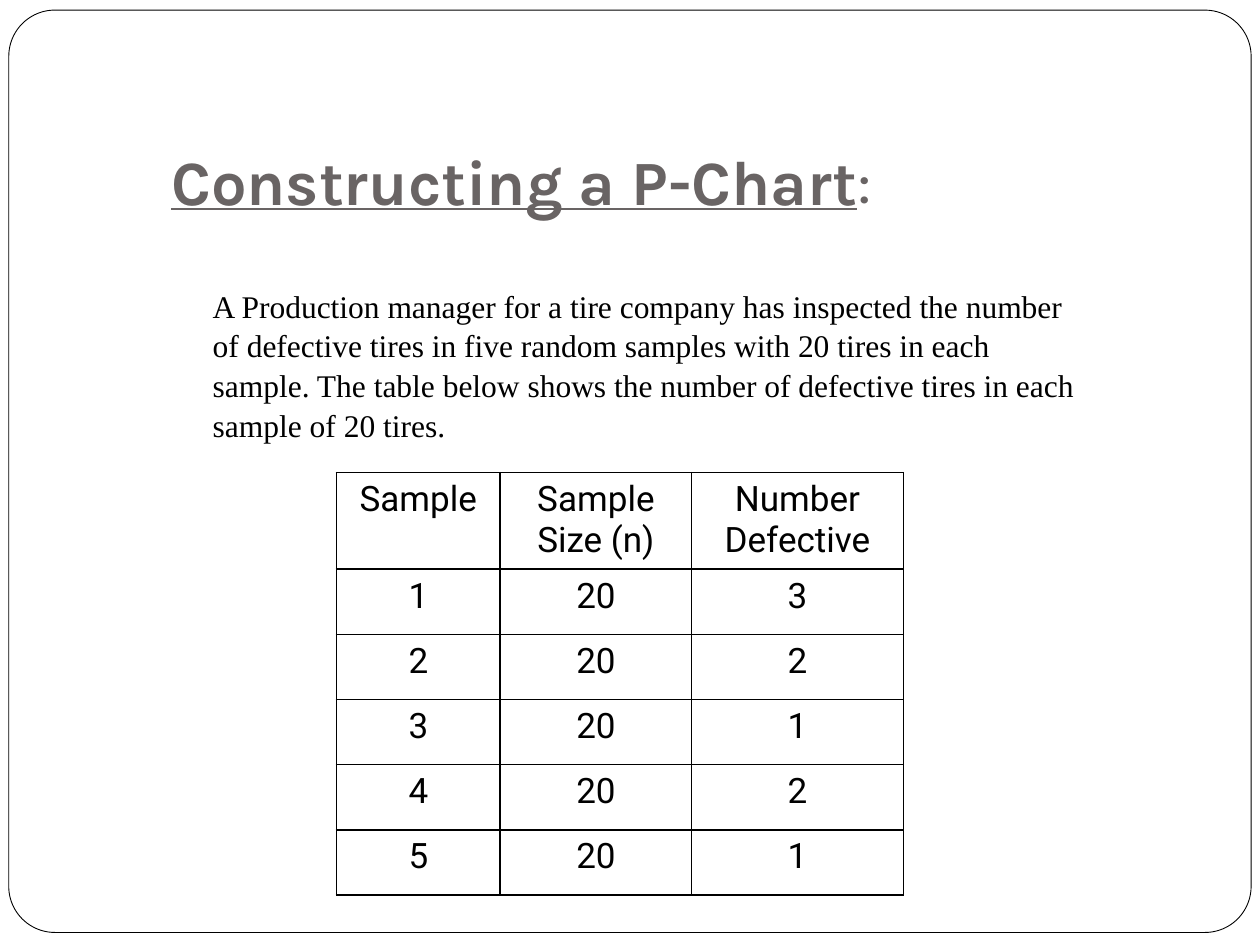
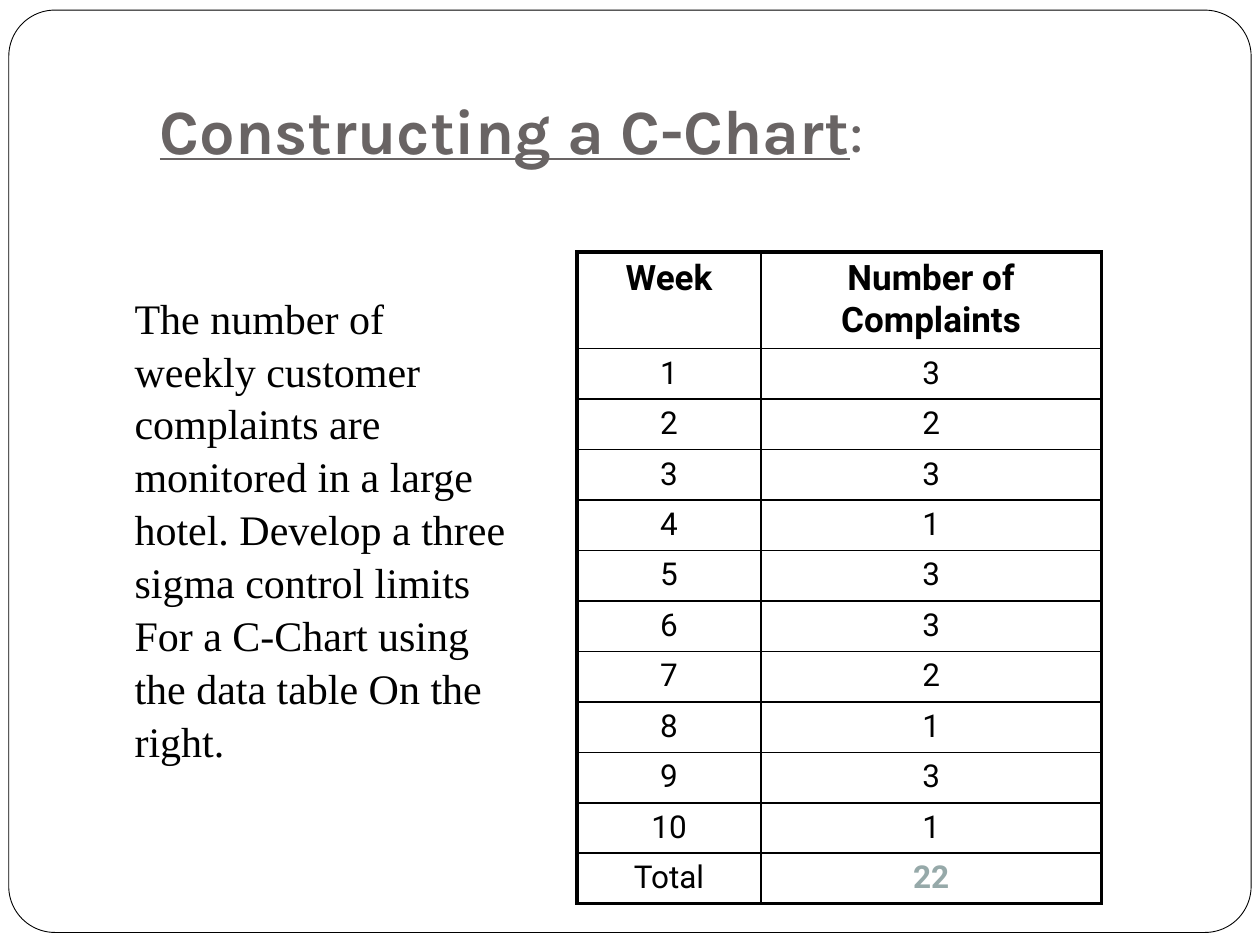
from dataclasses import dataclass

from lxml.etree import SubElement
from pptx import Presentation
from pptx.dml.color import RGBColor
from pptx.enum.shapes import MSO_SHAPE as Shape
from pptx.enum.text import MSO_ANCHOR as Anchor, PP_ALIGN as Align
from pptx.oxml.ns import qn
from pptx.util import Inches, Pt

WIDTH, HEIGHT = Inches(10), Inches(7.5)
BLACK, WHITE, GREY, SAGE = "000000", "FFFFFF", "696464", "96A9A9"
TITLE_FORMAT = {"name": "Karla", "size": Pt(36)}
CELL_FONT, BODY_FONT = "Roboto", "Times New Roman"
THIN = 1


@dataclass
class Box:
    """Place and size in percent of the slide."""
    left: float
    top: float
    width: float
    height: float

    def emu(self) -> tuple[int, int, int, int]:
        return across(self.left), down(self.top), across(self.width), down(self.height)


@dataclass
class DataTable:
    left: float
    top: float
    columns: list[float]
    header_height: float
    row_height: float
    rows: list[list[str]]
    size: int
    outline: float = THIN
    bold_header: bool = False
    highlight: str = ""


@dataclass
class Example:
    title: str
    title_box: Box
    problem: str
    problem_box: Box
    problem_size: int
    table: DataTable


def across(percent: float) -> int:
    return round(WIDTH * percent / 100)


def down(percent: float) -> int:
    return round(HEIGHT * percent / 100)


def rgb(color: str) -> RGBColor:
    return RGBColor.from_string(color)


def write(paragraph, text: str, color: str, formats: dict) -> None:
    run = paragraph.add_run()
    run.text = text
    run.font.color.rgb = rgb(color)
    for attribute, value in formats.items():
        setattr(run.font, attribute, value)


def add_frame(slide) -> None:
    frame = slide.shapes.add_shape(Shape.ROUNDED_RECTANGLE, *Box(0.7, 1.07, 98.6, 97.6).emu())
    frame.shadow.inherit = False
    frame.adjustments[0] = 0.05
    frame.fill.solid()
    frame.fill.fore_color.rgb = rgb(WHITE)
    frame.line.color.rgb = rgb(BLACK)
    frame.line.width = Pt(0.5)


def add_text_frame(slide, box: Box):
    text_frame = slide.shapes.add_textbox(*box.emu()).text_frame
    text_frame.word_wrap = True
    return text_frame


def add_title(slide, title: str, box: Box) -> None:
    text_frame = add_text_frame(slide, box)
    text_frame.vertical_anchor = Anchor.BOTTOM
    text_frame.margin_bottom = Inches(0.1)
    heading = text_frame.paragraphs[0]
    write(heading, title, GREY, TITLE_FORMAT | {"bold": True, "underline": True})
    write(heading, ":", GREY, TITLE_FORMAT)


def add_problem(slide, problem: str, box: Box, size: int) -> None:
    paragraph = add_text_frame(slide, box).paragraphs[0]
    paragraph.line_spacing = 1.05
    paragraph._p.get_or_add_pPr().set("marL", str(Inches(0.3)))
    write(paragraph, problem, BLACK, {"name": BODY_FONT, "size": Pt(size)})


def add_borders(cell, widths: dict[str, float]) -> None:
    properties = cell._tc.get_or_add_tcPr()
    for position, (side, width) in enumerate(widths.items()):
        border = SubElement(properties, qn(f"a:ln{side}"), w=str(Pt(width)))
        fill = SubElement(border, qn("a:solidFill"))
        SubElement(fill, qn("a:srgbClr"), val=BLACK)
        properties.insert(position, border)


def add_data_table(slide, data: DataTable) -> None:
    heights = [data.header_height] + [data.row_height] * (len(data.rows) - 1)
    box = Box(data.left, data.top, sum(data.columns), sum(heights))
    table = slide.shapes.add_table(len(heights), len(data.columns), *box.emu()).table
    table.first_row = table.horz_banding = False
    for column, width in zip(table.columns, data.columns):
        column.width = across(width)
    for row, height in zip(table.rows, heights):
        row.height = down(height)

    last_row, last_column = len(heights) - 1, len(data.columns) - 1
    for r, values in enumerate(data.rows):
        for c, value in enumerate(values):
            cell = table.cell(r, c)
            cell.fill.solid()
            cell.fill.fore_color.rgb = rgb(WHITE)
            on_edge = {"L": c == 0, "R": c == last_column, "T": r == 0, "B": r == last_row}
            add_borders(cell, {side: data.outline if edge else THIN
                               for side, edge in on_edge.items()})
            highlighted = value == data.highlight
            paragraph = cell.text_frame.paragraphs[0]
            paragraph.alignment = Align.CENTER
            write(paragraph, value, SAGE if highlighted else BLACK, {
                "name": CELL_FONT,
                "size": Pt(20 if r == 0 else data.size),
                "bold": highlighted or (r == 0 and data.bold_header),
            })


def numbered(counts: list[int], *constants: str) -> list[list[str]]:
    return [[str(n), *constants, str(count)] for n, count in enumerate(counts, 1)]


# Content of the two slides
DEFECTS = [3, 2, 1, 2, 1]
COMPLAINTS = [3, 2, 3, 1, 3, 3, 2, 1, 3, 1]
TOTAL = str(sum(COMPLAINTS))

EXAMPLES = [
    Example(
        "Constructing a P-Chart", Box(12.6, 3.07, 85.2, 21.33),
        "A Production manager for a tire company has inspected the number of defective "
        "tires in five random samples with 20 tires in each sample. The table below shows "
        "the number of defective tires in each sample of 20 tires.",
        Box(12.9, 29.47, 73.7, 19.47), 18,
        DataTable(26.7, 50, [13, 15.2, 16.8], 10.05, 6.9,
                  [["Sample", "Sample Size (n)", "Number Defective"],
                   *numbered(DEFECTS, "20")], size=20),
    ),
    Example(
        "Constructing a C-Chart", Box(11.7, -2.27, 85.2, 21.33),
        "The number of weekly customer complaints are monitored in a large hotel. Develop "
        "a three sigma control limits For a C-Chart using the data table On the right.",
        Box(6.7, 30, 35, 58.93), 24,
        DataTable(45.8, 26.67, [14.6, 27], 10.1, 5.25,
                  [["Week", "Number of Complaints"], *numbered(COMPLAINTS),
                   ["Total", TOTAL]],
                  size=18, outline=2.25, bold_header=True, highlight=TOTAL),
    ),
]


def main() -> None:
    deck = Presentation()
    deck.slide_width, deck.slide_height = WIDTH, HEIGHT
    for example in EXAMPLES:
        slide = deck.slides.add_slide(deck.slide_layouts[6])
        add_frame(slide)
        add_title(slide, example.title, example.title_box)
        add_problem(slide, example.problem, example.problem_box, example.problem_size)
        add_data_table(slide, example.table)
    deck.save("out.pptx")


if __name__ == "__main__":
    main()
